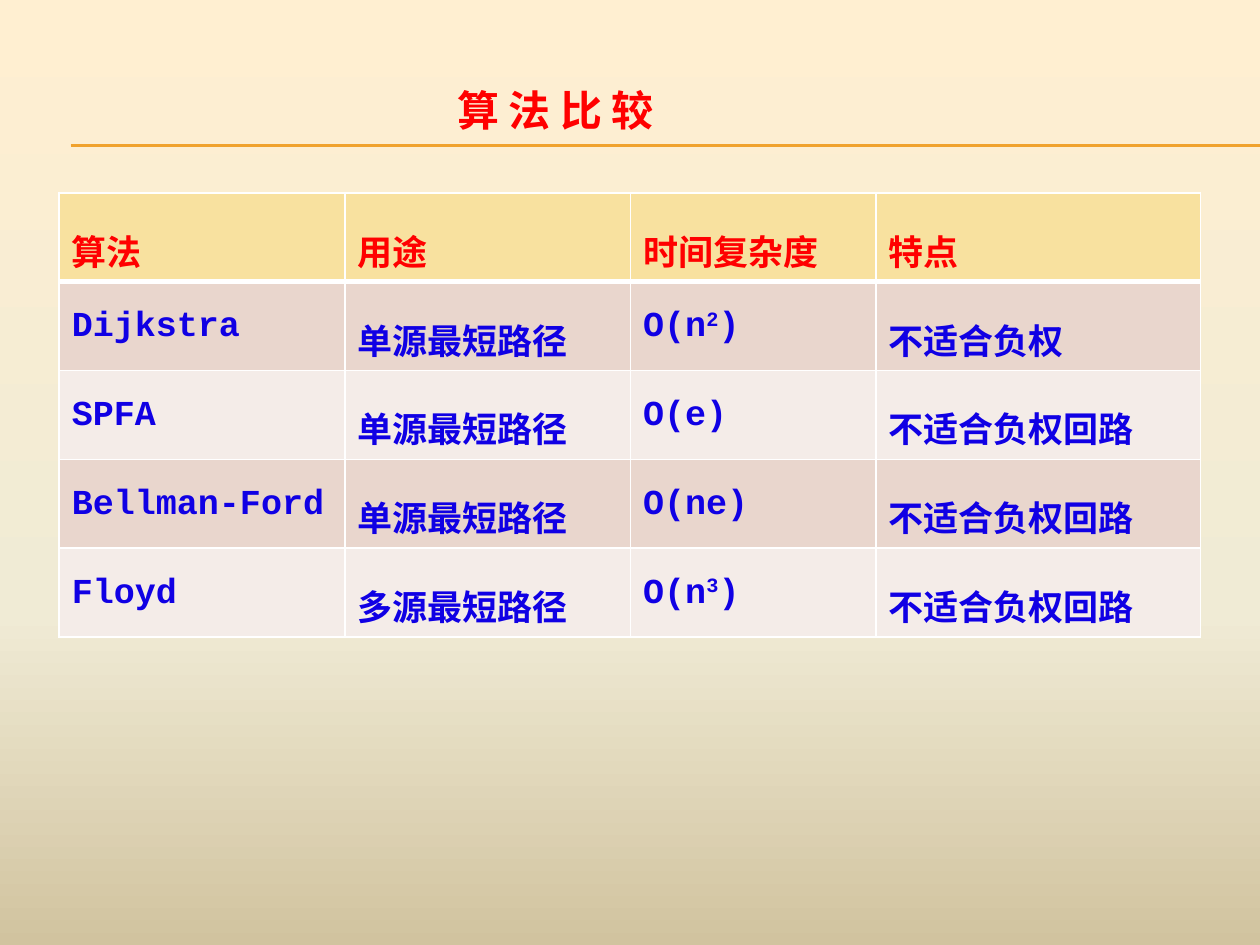
import copy

import pptx
import pptx.dml.color
import pptx.enum.shapes
import pptx.enum.text
import pptx.oxml
import pptx.oxml.ns
import pptx.util

Inches = pptx.util.Inches
Pt = pptx.util.Pt
qn = pptx.oxml.ns.qn

CJK_FONT = "Noto Sans CJK SC"
RED, BLUE, GOLD = "FF0000", "1000E4", "F0A22E"
HEADER_FILL, BAND_FILLS = "F8E19F", ("E9D6CD", "F4ECE8")
BACKGROUND_STOPS = ((0, "FFEFD1"), (0.65, "F0EBD5"), (1, "D1C39F"))
TITLE_FORMAT = {"size": Pt(24), "bold": True, "name": CJK_FONT}
CELL_FORMAT = {"size": Pt(20), "bold": True, "name": "Courier New"}
COLUMN_WIDTHS = (2.27, 2.27, 1.95, 2.58)
COMPARISON = (
    ("算法", "用途", "时间复杂度", "特点"),
    ("Dijkstra", "单源最短路径", "O(n^2^)", "不适合负权"),
    ("SPFA", "单源最短路径", "O(e)", "不适合负权回路"),
    ("Bellman-Ford", "单源最短路径", "O(ne)", "不适合负权回路"),
    ("Floyd", "多源最短路径", "O(n^3^)", "不适合负权回路"),
)


def rgb(color):
    """Turn a hex string into a colour."""
    return pptx.dml.color.RGBColor.from_string(color)


def add_text(paragraph, text, formats, color):
    """Add formatted runs, raising the parts between carets."""
    for index, part in enumerate(text.split("^")):
        run = paragraph.add_run()
        run.text = part
        for attribute, value in formats.items():
            setattr(run.font, attribute, value)
        run.font.color.rgb = rgb(color)
        properties = run._r.get_or_add_rPr()
        pptx.oxml.ns.qn("a:ea")
        east_asian = copy.deepcopy(properties.find(qn("a:latin")))
        east_asian.tag = qn("a:ea")
        east_asian.set("typeface", CJK_FONT)
        properties.append(east_asian)
        if index % 2:
            properties.set("baseline", "30000")


def paint_background(slide):
    """Fill the slide with a vertical gradient."""
    fill = slide.background.fill
    fill.gradient()
    fill.gradient_angle = 270
    stop_list = slide._element.find(".//" + qn("a:gsLst"))
    stop_list.append(copy.deepcopy(stop_list[0]))
    for stop, (position, color) in zip(fill.gradient_stops, BACKGROUND_STOPS):
        stop.position = position
        stop.color.rgb = rgb(color)


def add_rule(slide, left, top, width):
    """Draw a thin horizontal rule."""
    rule = slide.shapes.add_connector(
        pptx.enum.shapes.MSO_CONNECTOR.STRAIGHT,
        Inches(left), Inches(top), Inches(left + width), Inches(top))
    rule.line.color.rgb = rgb(GOLD)
    rule.line.width = Pt(0.75)
    rule._element.spPr.append(pptx.oxml.parse_xml(
        f"<a:effectLst {pptx.oxml.ns.nsdecls('a')}/>"))


def add_title(slide, left, top, width, height):
    """Place the centred heading."""
    title = slide.shapes.add_textbox(
        Inches(left), Inches(top), Inches(width), Inches(height))
    title.text_frame.word_wrap = True
    title.text_frame.auto_size = pptx.enum.text.MSO_AUTO_SIZE.SHAPE_TO_FIT_TEXT
    heading = title.text_frame.paragraphs[0]
    heading.alignment = pptx.enum.text.PP_ALIGN.CENTER
    add_text(heading, "算 法 比 较", TITLE_FORMAT, RED)


def add_borders(cell, widths):
    """Give a cell white borders with widths in points by side."""
    properties = cell._tc.get_or_add_tcPr()
    for index, (side, width) in enumerate(widths.items()):
        properties.insert(index, pptx.oxml.parse_xml(
            f"<a:ln{side} {pptx.oxml.ns.nsdecls('a')} w='{Pt(width)}'>"
            f"<a:solidFill><a:srgbClr val='FFFFFF'/></a:solidFill></a:ln{side}>"))


def add_comparison(slide, left, top, width, height):
    """Build the table that compares the algorithms."""
    table = slide.shapes.add_table(
        len(COMPARISON), len(COLUMN_WIDTHS),
        Inches(left), Inches(top), Inches(width), Inches(height)).table
    for column, share in zip(table.columns, COLUMN_WIDTHS):
        column.width = Inches(width * share / sum(COLUMN_WIDTHS))
    for row, values in enumerate(COMPARISON):
        for column, value in enumerate(values):
            cell = table.cell(row, column)
            cell.fill.solid()
            cell.fill.fore_color.rgb = rgb(
                BAND_FILLS[(row - 1) % 2] if row else HEADER_FILL)
            add_borders(cell, {"L": 1, "R": 1, "T": 3 if row == 1 else 1,
                               "B": 1 if row else 3})
            paragraph = cell.text_frame.paragraphs[0]
            paragraph.line_spacing = 1.5
            add_text(paragraph, value, CELL_FORMAT, BLUE if row else RED)


def main():
    """Build and save the slide."""
    deck = pptx.Presentation()
    deck.slide_width, deck.slide_height = Inches(10), Inches(7.5)
    slide = deck.slides.add_slide(deck.slide_layouts[6])
    paint_background(slide)
    for top in (1.15, 1.16):
        add_rule(slide, 0.56, top, 9.44)
    add_comparison(slide, 0.47, 1.53, 9.06, 3)
    add_title(slide, 3.2, 0.62, 2.42, 0.5)
    deck.save("out.pptx")


if __name__ == "__main__":
    main()
